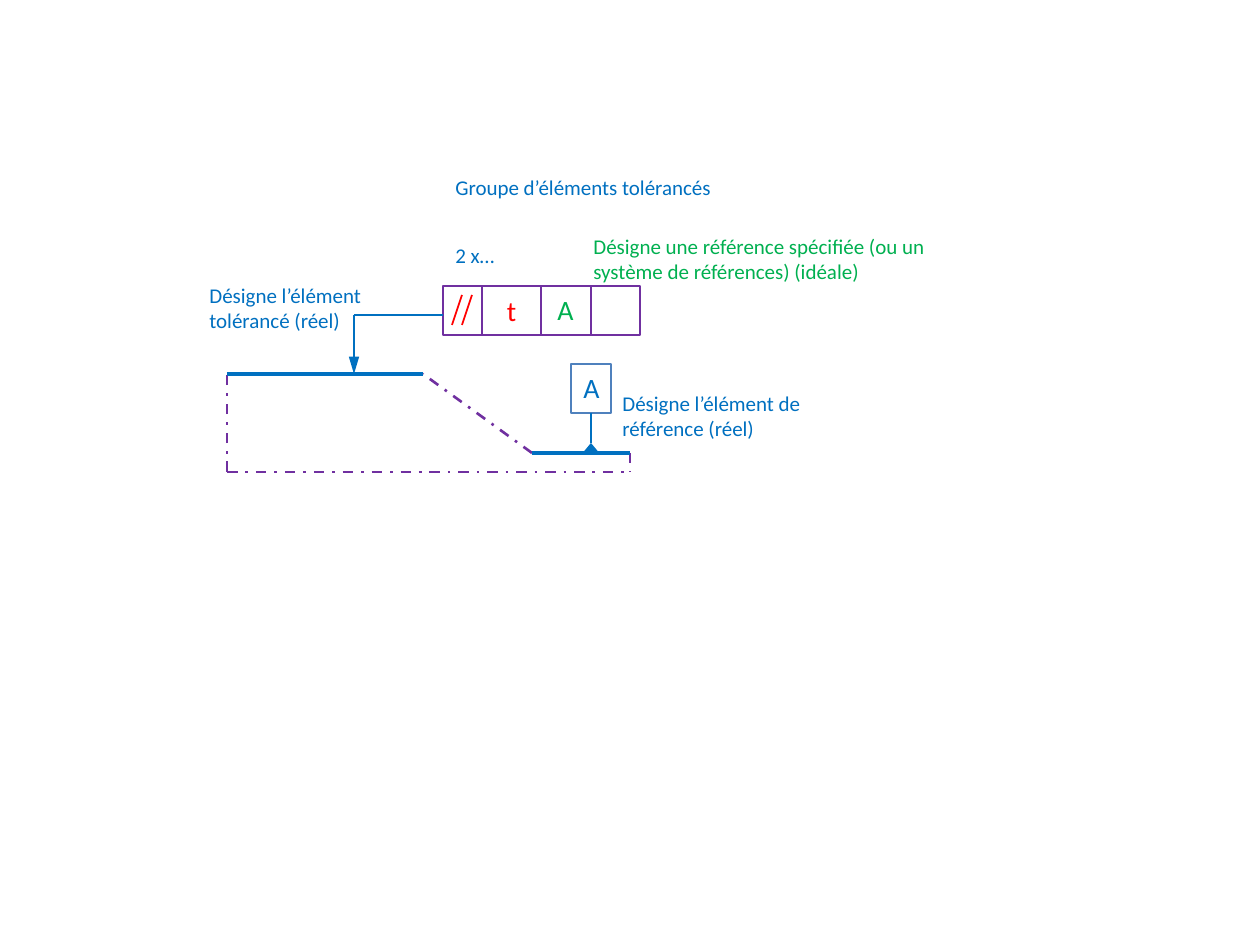
from dataclasses import dataclass

from lxml import etree
from pptx import Presentation
from pptx.dml.color import RGBColor
from pptx.enum.dml import MSO_LINE
from pptx.enum.shapes import MSO_CONNECTOR, MSO_SHAPE
from pptx.enum.text import MSO_AUTO_SIZE, PP_ALIGN
from pptx.oxml.ns import qn
from pptx.util import Emu, Pt

DASH = MSO_LINE.DASH_DOT
STRAIGHT = MSO_CONNECTOR.STRAIGHT
RECT = MSO_SHAPE.RECTANGLE
GROW = MSO_AUTO_SIZE.SHAPE_TO_FIT_TEXT
LEFT, CENTER = PP_ALIGN.LEFT, PP_ALIGN.CENTER


@dataclass(frozen=True)
class Theme:
    font: str = "Calibri"
    blue: str = "0070C0"
    green: str = "00B050"
    purple: str = "7030A0"
    red: str = "FF0000"
    steel: str = "4F81BD"
    note: int = 12
    sign: int = 16
    thin: float = 1
    edge: float = 1.5
    bold: float = 2.25


theme = Theme()
SCALE = 914400 / 126


def px(*vals):
    return [Emu(round(v * SCALE)) for v in vals]


def draw(ends, color, width, dash=None, head=None):
    """Draw a line; head is the width and length of its arrowhead."""
    line = slide.shapes.add_connector(STRAIGHT, *px(*ends))
    line.line.color.rgb = RGBColor.from_string(color)
    line.line.width = Pt(width)
    if dash:
        line.line.dash_style = dash
    props = line._element.spPr
    if head:
        tail = etree.SubElement(props.find(qn("a:ln")), qn("a:tailEnd"))
        tail.set("type", "triangle")
        tail.set("w", head[0])
        tail.set("len", head[1])
    etree.SubElement(props, qn("a:effectLst"))
    return line


deck = Presentation()
deck.slide_width, deck.slide_height = px(1260, 945)
slide = deck.slides.add_slide(deck.slide_layouts[6])

# Part outline: real faces in bold, the rest dashed
west, slope, step, east = 227, 423, 532, 630
top, shelf, base = 374, 453, 472
for ends in [
    (west, base, west, top),
    (step, shelf, slope, top),
    (west, base, east, base),
    (east, shelf, east, base),
]:
    draw(ends, theme.purple, theme.edge, DASH)
for ends in [(west, top, slope, top), (step, shelf, east, shelf)]:
    draw(ends, theme.blue, theme.bold)

# Tolerance frame and datum box
frame, tall = 286, 49
datum = (571, 364, 40, tall)
for box, color in [
    ((443, frame, 98, tall), theme.purple),
    ((482, frame, 109, tall), theme.purple),
    ((541, frame, 99, tall), theme.purple),
    (datum, theme.steel),
]:
    cell = slide.shapes.add_shape(RECT, *px(*box))
    cell.shadow.inherit = False
    cell.fill.background()
    cell.line.color.rgb = RGBColor.from_string(color)
    cell.line.width = Pt(theme.thin)

# Leader from the frame down to the toleranced face
draw((443, 315, 354, 315), theme.blue, theme.thin)
draw((354, 315, 354, top), theme.blue, theme.thin, head=("med", "lg"))

# Datum stem and triangle
stem = draw((591, 413, 591, 443), theme.blue, theme.thin)
stem.begin_connect(cell, 2)
draw((591, shelf, 591, 443), theme.blue, theme.thin, head=("lg", "med"))

# Parallelism sign
for x in (452, 462):
    draw((x + 10, 295, x, 325), theme.red, theme.thin)

# Labels
for box, text, size, color, align in [
    ((443, 168, 315, 38), "Groupe d’éléments tolérancés", theme.note, theme.blue, LEFT),
    ((443, 236, 256, 38), "2 x…", theme.note, theme.blue, LEFT),
    ((197, 276, 256, 63), "Désigne l’élément tolérancé (réel)", theme.note, theme.blue, LEFT),
    ((610, 384, 256, 63), "Désigne l’élément de référence (réel)", theme.note, theme.blue, LEFT),
    ((581, 227, 384, 63), "Désigne une référence spécifiée (ou un système de références) (idéale)",
     theme.note, theme.green, LEFT),
    ((482, 287, 59, 47), "t", theme.sign, theme.red, CENTER),
    ((541, 286, 49, 47), "A", theme.sign, theme.green, CENTER),
    ((571, 364, 40, 47), "A", theme.sign, theme.blue, CENTER),
]:
    body = slide.shapes.add_textbox(*px(*box)).text_frame
    body.word_wrap = True
    body.auto_size = GROW
    para = body.paragraphs[0]
    para.alignment = align
    run = para.add_run()
    run.text = text
    run.font.name = theme.font
    run.font.size = Pt(size)
    run.font.color.rgb = RGBColor.from_string(color)

deck.save("out.pptx")
